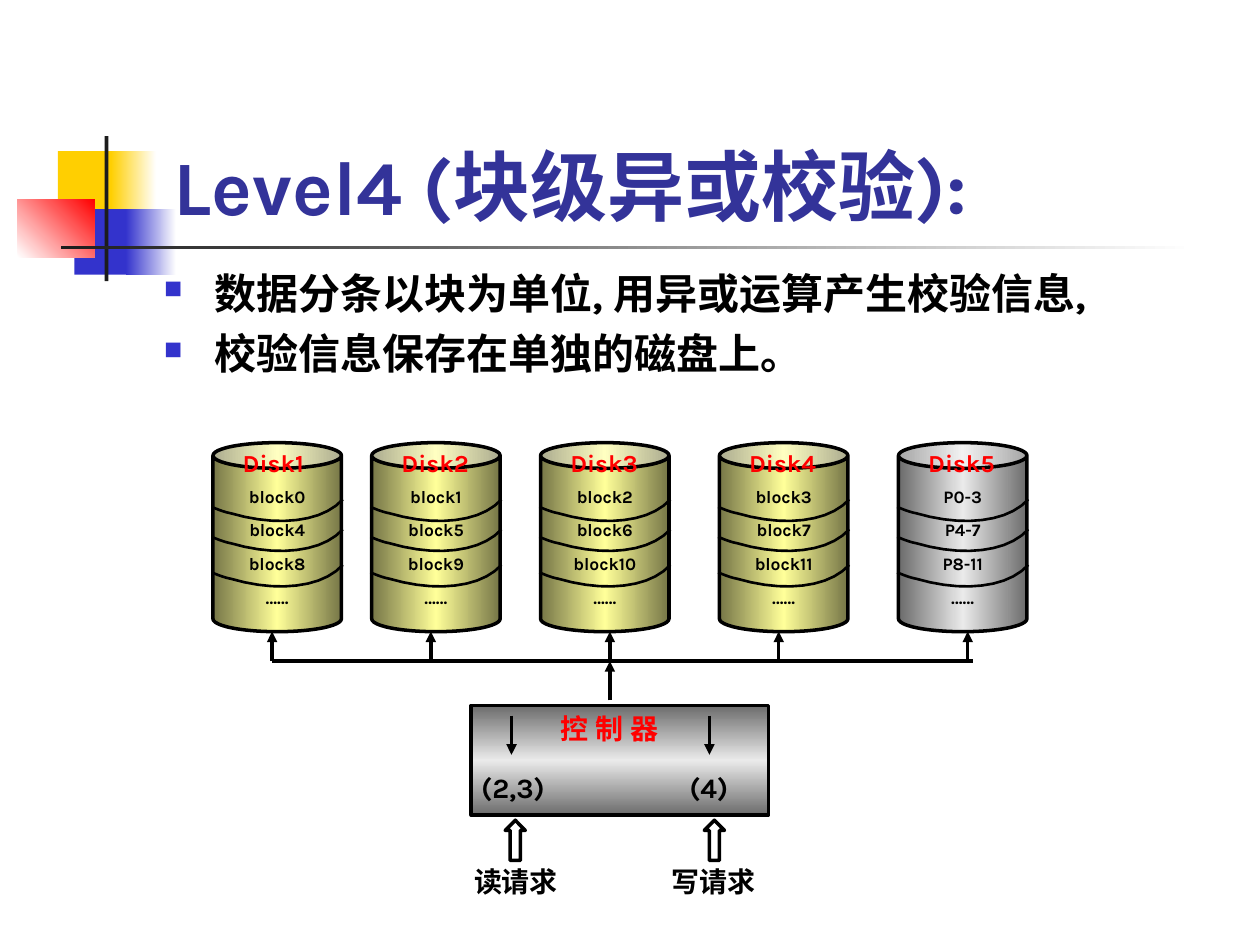
"""Build the RAID Level 4 slide with its disks, controller and requests."""
from copy import deepcopy
from lxml.etree import SubElement
from pptx import Presentation
from pptx.dml.color import RGBColor
from pptx.enum.shapes import MSO_CONNECTOR, MSO_SHAPE
from pptx.enum.text import MSO_ANCHOR, PP_ALIGN
from pptx.oxml.ns import qn
from pptx.util import Pt

BLACK = RGBColor(0x00, 0x00, 0x00)
WHITE = RGBColor(0xFF, 0xFF, 0xFF)
RED = RGBColor(0xFF, 0x00, 0x00)
YELLOW = RGBColor(0xFF, 0xCF, 0x01)
BLUE = RGBColor(0x33, 0x33, 0xCC)
NAVY = RGBColor(0x33, 0x33, 0x99)
DARK = RGBColor(0x1C, 0x1C, 0x1C)
OLIVE = RGBColor(0x76, 0x76, 0x47)
CREAM = RGBColor(0xFF, 0xFF, 0x99)
GRAY = RGBColor(0x6C, 0x6C, 0x6C)
SILVER = RGBColor(0xEA, 0xEA, 0xEA)
FONT = "Karla"

prs = Presentation()
prs.slide_width, prs.slide_height = Pt(720), Pt(540)
s = prs.slides.add_slide(prs.slide_layouts[6])


def add_box(kind, at, colors, angle=0, line=None):
    sp = s.shapes.add_shape(kind, *map(Pt, at))
    sp.shadow.inherit = False
    if not colors:
        sp.fill.background()
    elif len(colors) == 1:
        sp.fill.solid()
        sp.fill.fore_color.rgb = colors[0]
    else:
        sp.fill.gradient()
        sp.fill.gradient_angle = angle
        stops = sp._element.spPr.find(".//" + qn("a:gsLst"))
        for _ in colors[2:]:
            stops.append(deepcopy(stops[0]))
        for i, (stop, color) in enumerate(zip(sp.fill.gradient_stops, colors)):
            stop.position = i / (len(colors) - 1)
            stop.color.rgb = color
    if line:
        sp.line.color.rgb = line
        sp.line.width = Pt(2)
    else:
        sp.line.fill.background()
    return sp


def write(tf, lines, size, color, margins=(0, 0, 0, 0), wrap=True,
          anchor=MSO_ANCHOR.TOP, **fmt):
    sides = ("margin_left", "margin_top", "margin_right", "margin_bottom")
    frame = dict(zip(sides, map(Pt, margins)), word_wrap=wrap, vertical_anchor=anchor)
    for name, value in frame.items():
        setattr(tf, name, value)
    for i, line in enumerate(lines):
        p = tf.paragraphs[0] if i == 0 else tf.add_paragraph()
        for name, value in fmt.items():
            setattr(p, name, value)
        r = p.add_run()
        r.text = line
        r.font.color.rgb = color
        for name, value in dict(size=Pt(size), bold=True, name=FONT).items():
            setattr(r.font, name, value)
        SubElement(r.font._element, qn("a:ea"), typeface=FONT)


for at, colors, angle in [
    ((33.1, 86.4, 34.6, 37.4), [YELLOW], 0),
    ((63.4, 86.4, 25.9, 37.4), [YELLOW, WHITE], 0),
    ((42.5, 119.5, 33.1, 37.4), [BLUE], 0),
    ((72, 119.5, 28.8, 37.4), [BLUE, WHITE], 0),
    ((10.1, 113.8, 43.9, 33.1), [WHITE, RED], 45),
    ((59.8, 77.8, 2.2, 82.8), [DARK], 0),
    ((34.6, 140.4, 648, 2.2), [DARK, WHITE], 0),
]:
    add_box(MSO_SHAPE.RECTANGLE, at, colors, angle)

tf = s.shapes.add_textbox(Pt(99.4), Pt(25.9), Pt(468), Pt(105.8)).text_frame
write(tf, ["Level4 (块级异或校验):"], 44, NAVY, anchor=MSO_ANCHOR.BOTTOM)

tf = s.shapes.add_textbox(Pt(93.6), Pt(152.6), Pt(555.8), Pt(63.4)).text_frame
write(tf, ["数据分条以块为单位, 用异或运算产生校验信息,", "校验信息保存在单独的磁盘上。"], 24, BLACK)
for p in tf.paragraphs:
    pPr = p._p.get_or_add_pPr()
    pPr.set("marL", str(Pt(28.8)))
    pPr.set("indent", str(-Pt(28.8)))
    SubElement(SubElement(pPr, qn("a:buClr")), qn("a:srgbClr"), val=str(BLUE))
    SubElement(pPr, qn("a:buSzPct"), val="60000")
    SubElement(pPr, qn("a:buChar"), char="■")
tf.paragraphs[1].space_before = Pt(6)

DISK_TOP = 253
ARC = [(74.2, 32.4), (62.6, 45.4), (36.7, 48.2), (10.1, 40.3), (6.5, 39.6), (2.9, 38.2), (-0.7, 36.7)]
arc_points = [ARC[0]]
for curve in (ARC[:4], ARC[3:]):
    for step in range(1, 11):
        t = step / 10
        weights = ((1 - t) ** 3, 3 * t * (1 - t) ** 2, 3 * t * t * (1 - t), t ** 3)
        arc_points.append(tuple(sum(w * pt[axis] for w, pt in zip(weights, curve)) for axis in (0, 1)))

disks = [
    (121.7, ["block0", "block4", "block8"]),
    (212.4, ["block1", "block5", "block9"]),
    (308.9, ["block2", "block6", "block10"]),
    (411.1, ["block3", "block7", "block11"]),
    (513.4, ["P0-3", "P4-7", "P8-11"]),
]
for n, (x, blocks) in enumerate(disks, 1):
    colors = [GRAY, SILVER, GRAY] if n == len(disks) else [OLIVE, CREAM, OLIVE]
    sp = add_box(MSO_SHAPE.CAN, (x, DISK_TOP, 73.4, 108), colors, line=BLACK)
    sp.adjustments[0] = 0.2
    write(sp.text_frame, blocks + ["……"], 10, BLACK, margins=(7.2, 0, 7.2, 3.6), wrap=False,
          anchor=MSO_ANCHOR.MIDDLE, alignment=PP_ALIGN.CENTER, line_spacing=1.6)
    tf = s.shapes.add_textbox(Pt(x + 17), Pt(256.3), Pt(39.6), Pt(16.6)).text_frame
    write(tf, [f"Disk{n}"], 14, RED)
    for drop in (0, 17.1, 37.4):
        points = [(Pt(x + dx), Pt(DISK_TOP + drop + dy)) for dx, dy in arc_points]
        fb = s.shapes.build_freeform(*points[0])
        fb.add_line_segments(points[1:], close=False)
        sp = fb.convert_to_shape()
        sp.shadow.inherit = False
        sp.fill.background()
        sp.line.color.rgb = BLACK
        sp.line.width = Pt(1.5)

add_box(MSO_SHAPE.RECTANGLE, (269.3, 403.2, 169.9, 62.6), [GRAY, SILVER, GRAY], 90, BLACK)
for x in (288.7, 402.5):
    sp = add_box(MSO_SHAPE.UP_ARROW, (x, 468.7, 11.5, 23), [], line=BLACK)
    sp.adjustments[1] = 0.505

for text, x, y, w, color, align in [
    ("控 制 器", 320.4, 406.8, 62.6, RED, PP_ALIGN.LEFT),
    ("(2,3)", 275, 440.6, 45.4, BLACK, PP_ALIGN.LEFT),
    ("(4)", 382.3, 440.6, 45.4, BLACK, PP_ALIGN.CENTER),
    ("读请求", 269.3, 493.9, 51.1, BLACK, PP_ALIGN.CENTER),
    ("写请求", 382.3, 493.9, 51.1, BLACK, PP_ALIGN.CENTER),
]:
    tf = s.shapes.add_textbox(Pt(x), Pt(y), Pt(w), Pt(19.4)).text_frame
    write(tf, [text], 16, color, alignment=align)

BUS_Y, DISK_BOTTOM = 377.8, 360.9
arrows = [(x, BUS_Y, x, DISK_BOTTOM) for x in (155.5, 246.2, 348.5, 445, 553)]
arrows += [(348.5, 400.3, 348.5, BUS_Y)]
arrows += [(x, 409, x, 431.3) for x in (292.3, 405.4)]
bus = (155.5, BUS_Y, 555.8, BUS_Y)
for ends in [bus] + arrows:
    cn = s.shapes.add_connector(MSO_CONNECTOR.STRAIGHT, *map(Pt, ends))
    cn.line.color.rgb = BLACK
    cn.line.width = Pt(2)
    if ends != bus:
        SubElement(cn.line._get_or_add_ln(), qn("a:tailEnd"), type="triangle")
    SubElement(cn._element.spPr, qn("a:effectLst"))

prs.save("out.pptx")
